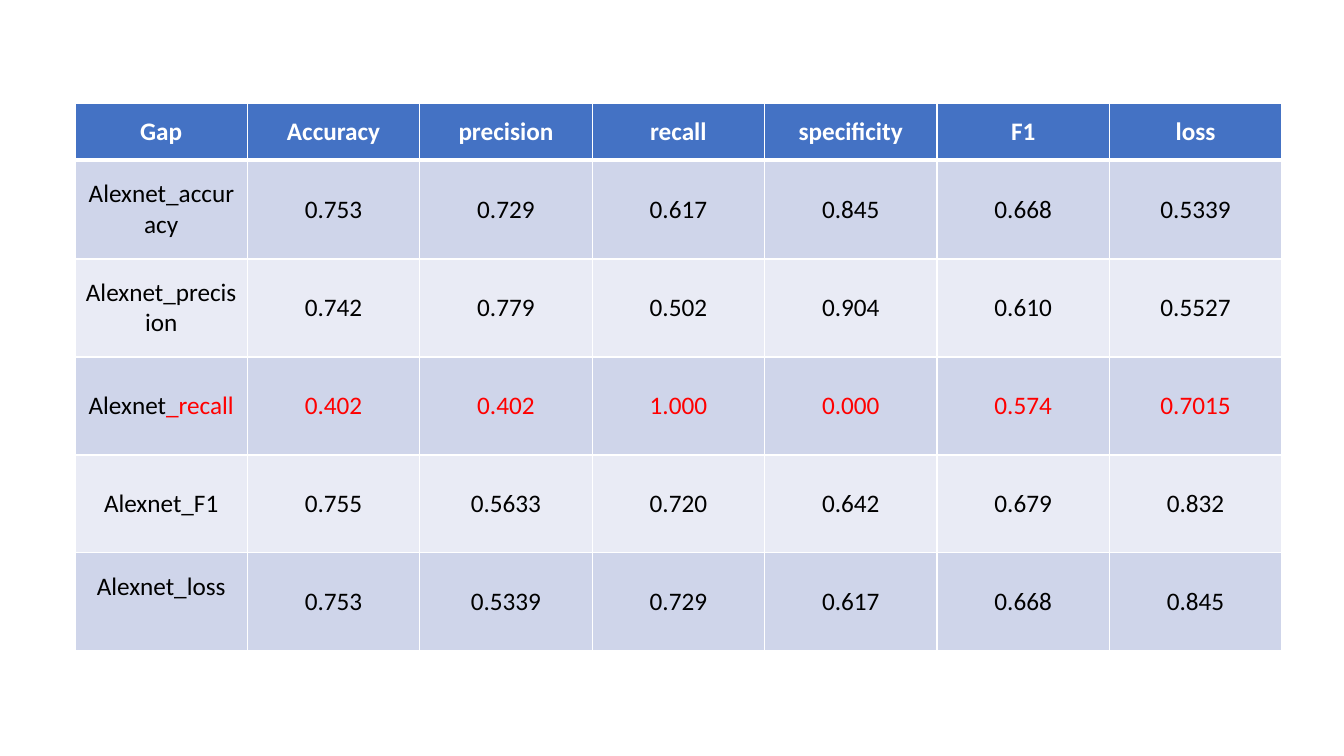
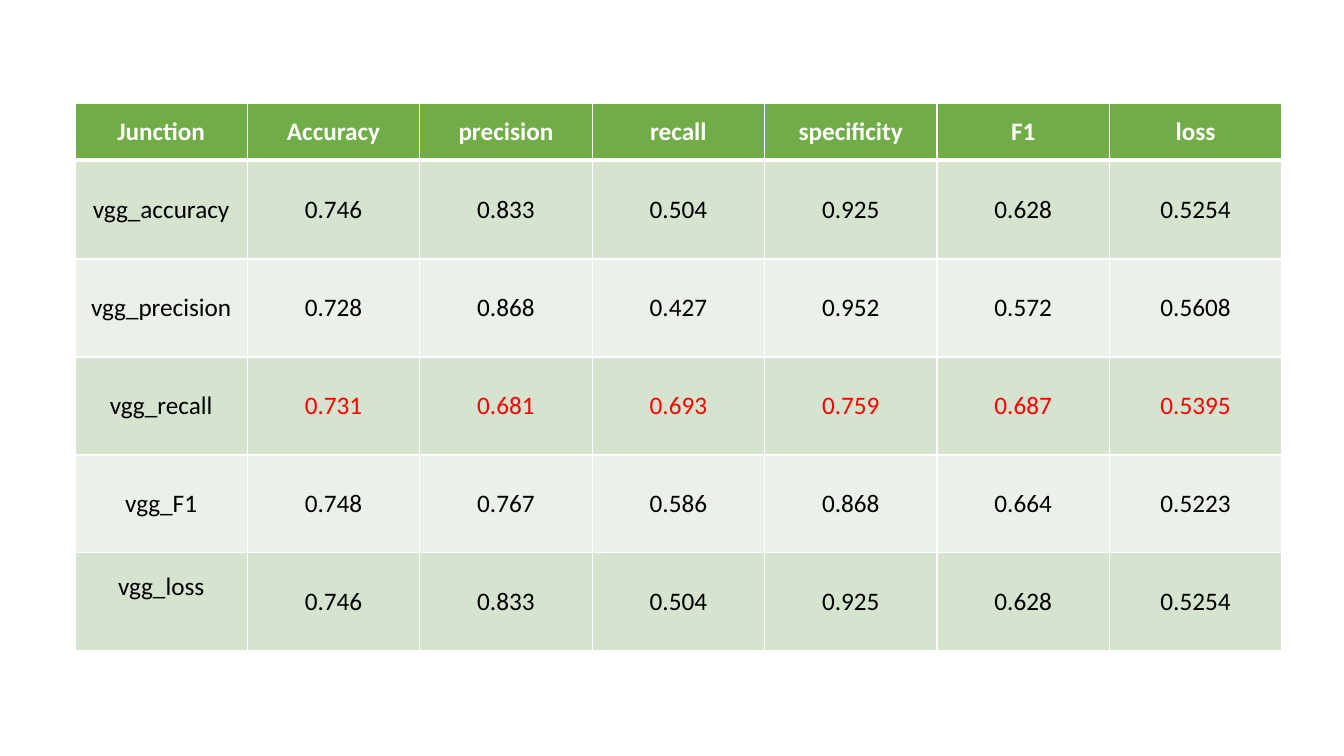
from dataclasses import dataclass

from lxml import etree
from pptx import Presentation
from pptx import util as u
from pptx.dml.color import RGBColor
from pptx.enum import text
from pptx.oxml.ns import qn


@dataclass(frozen=True)
class Theme:
    font: str = "Calibri"
    size: int = 18
    ink: str = "000000"
    header_ink: str = "FFFFFF"
    highlight: str = "FF0000"
    border: str = "FFFFFF"
    thin: int = 1
    thick: int = 3


@dataclass(frozen=True)
class Palette:
    header: str
    bands: tuple


@dataclass(frozen=True)
class Results:
    heading: str
    model: str
    palette: Palette
    scores: dict
    highlight_label: bool = False


THEME = Theme()
BLUE = Palette("4472C4", ("CFD5EA", "E9EBF5"))
GREEN = Palette("70AD47", ("D5E3CF", "EBF1E9"))

SLIDE_WIDTH, SLIDE_HEIGHT = 1344, 756
TABLE_LEFT, TABLE_TOP, TABLE_WIDTH = 75, 103, 1207
ROW_HEIGHTS = (57, 99, 98, 98, 98, 98)
RAISED_MARGIN = 36  # one text line more than the normal bottom margin

METRICS = ("Accuracy", "precision", "recall", "specificity", "F1", "loss")
HIGHLIGHT_METRIC = "recall"
RAISED_METRIC = "loss"

GAP = Results("Gap", "Alexnet", BLUE, {
    "accuracy": ("0.753", "0.729", "0.617", "0.845", "0.668", "0.5339"),
    "precision": ("0.742", "0.779", "0.502", "0.904", "0.610", "0.5527"),
    "recall": ("0.402", "0.402", "1.000", "0.000", "0.574", "0.7015"),
    "F1": ("0.755", "0.5633", "0.720", "0.642", "0.679", "0.832"),
    "loss": ("0.753", "0.5339", "0.729", "0.617", "0.668", "0.845"),
}, highlight_label=True)

JUNCTION = Results("Junction", "vgg", GREEN, {
    "accuracy": ("0.746", "0.833", "0.504", "0.925", "0.628", "0.5254"),
    "precision": ("0.728", "0.868", "0.427", "0.952", "0.572", "0.5608"),
    "recall": ("0.731", "0.681", "0.693", "0.759", "0.687", "0.5395"),
    "F1": ("0.748", "0.767", "0.586", "0.868", "0.664", "0.5223"),
    "loss": ("0.746", "0.833", "0.504", "0.925", "0.628", "0.5254"),
})


def px(length):
    return u.Emu(round(length * 914400 / 100.8))


def set_borders(cell, top, bottom):
    """Draw all four sides; call before the fill, which must follow in the XML."""
    properties = cell._tc.get_or_add_tcPr()
    widths = {"L": THEME.thin, "R": THEME.thin, "T": top, "B": bottom}
    for side, width in widths.items():
        line = etree.SubElement(properties, qn(f"a:ln{side}"), w=str(u.Pt(width)))
        fill = etree.SubElement(line, qn("a:solidFill"))
        etree.SubElement(fill, qn("a:srgbClr"), val=THEME.border)


def fill_cell(cell, runs, fill, bold=False):
    """Write (words, colour) runs centred on a solid fill."""
    cell.fill.solid()
    cell.fill.fore_color.rgb = RGBColor.from_string(fill)
    cell.vertical_anchor = text.MSO_ANCHOR.MIDDLE
    paragraph = cell.text_frame.paragraphs[0]
    paragraph.alignment = text.PP_ALIGN.CENTER
    for words, colour in runs:
        run = paragraph.add_run()
        run.text = words
        run.font.name = THEME.font
        run.font.size = u.Pt(THEME.size)
        run.font.bold = bold
        run.font.color.rgb = RGBColor.from_string(colour)


def label_runs(results, metric):
    if results.highlight_label and metric == HIGHLIGHT_METRIC:
        return [(results.model, THEME.ink), (f"_{metric}", THEME.highlight)]
    return [(f"{results.model}_{metric}", THEME.ink)]


def add_grid(slide):
    """Add an unstyled table with equal columns and white borders."""
    columns = len(METRICS) + 1
    frame = slide.shapes.add_table(
        len(ROW_HEIGHTS), columns, px(TABLE_LEFT), px(TABLE_TOP),
        px(TABLE_WIDTH), px(sum(ROW_HEIGHTS)))
    table = frame.table
    table.first_row = table.horz_banding = False
    for column in table.columns:
        column.width = px(TABLE_WIDTH / columns)
    for index, (row, height) in enumerate(zip(table.rows, ROW_HEIGHTS)):
        row.height = px(height)
        top = THEME.thick if index == 1 else THEME.thin
        bottom = THEME.thick if index == 0 else THEME.thin
        for cell in row.cells:
            set_borders(cell, top, bottom)
    return table


def add_results_slide(presentation, results):
    slide = presentation.slides.add_slide(presentation.slide_layouts[6])
    table = add_grid(slide)
    for column, heading in enumerate((results.heading, *METRICS)):
        fill_cell(table.cell(0, column), [(heading, THEME.header_ink)],
                  results.palette.header, bold=True)
    for index, (metric, scores) in enumerate(results.scores.items()):
        band = results.palette.bands[index % 2]
        ink = THEME.highlight if metric == HIGHLIGHT_METRIC else THEME.ink
        label, *score_cells = table.rows[index + 1].cells
        fill_cell(label, label_runs(results, metric), band)
        if metric == RAISED_METRIC:
            label.margin_bottom = px(RAISED_MARGIN)
        for cell, score in zip(score_cells, scores):
            fill_cell(cell, [(score, ink)], band)


def main():
    presentation = Presentation()
    presentation.slide_width = px(SLIDE_WIDTH)
    presentation.slide_height = px(SLIDE_HEIGHT)
    for results in (GAP, JUNCTION):
        add_results_slide(presentation, results)
    presentation.save("out.pptx")


if __name__ == "__main__":
    main()
